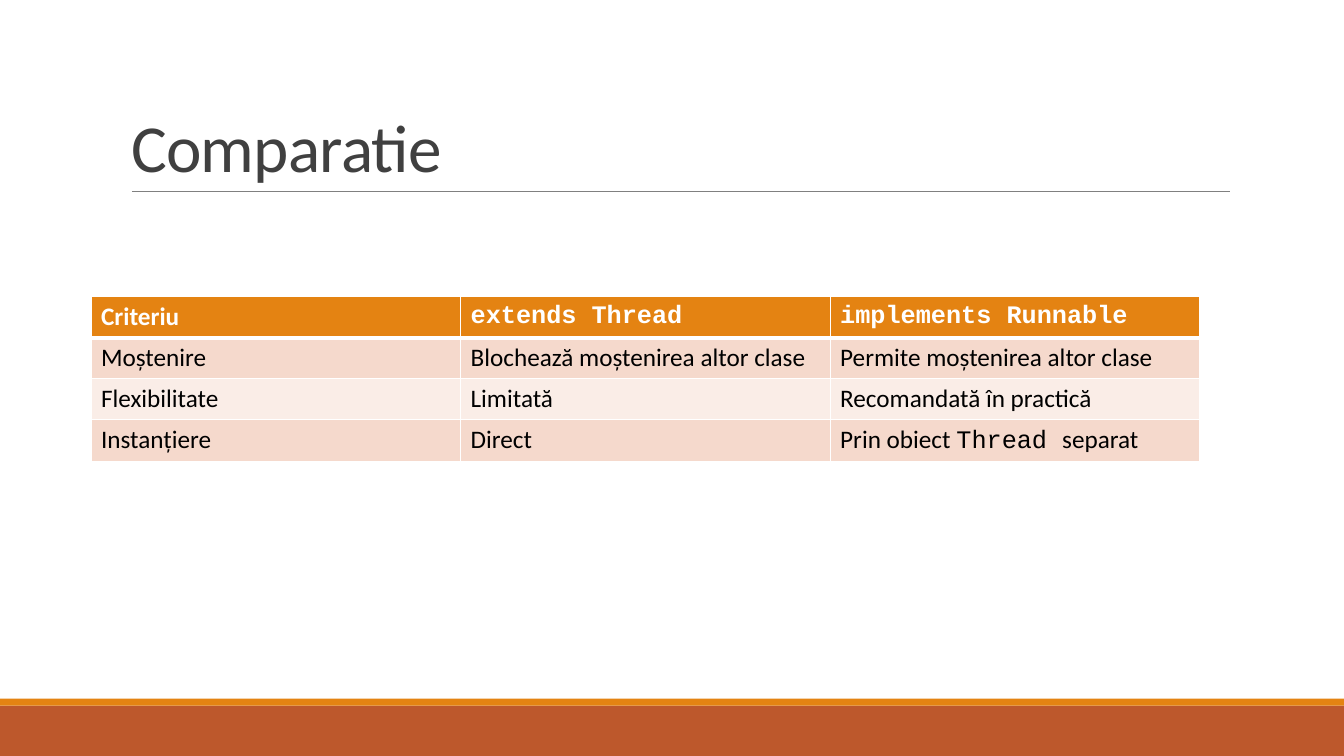
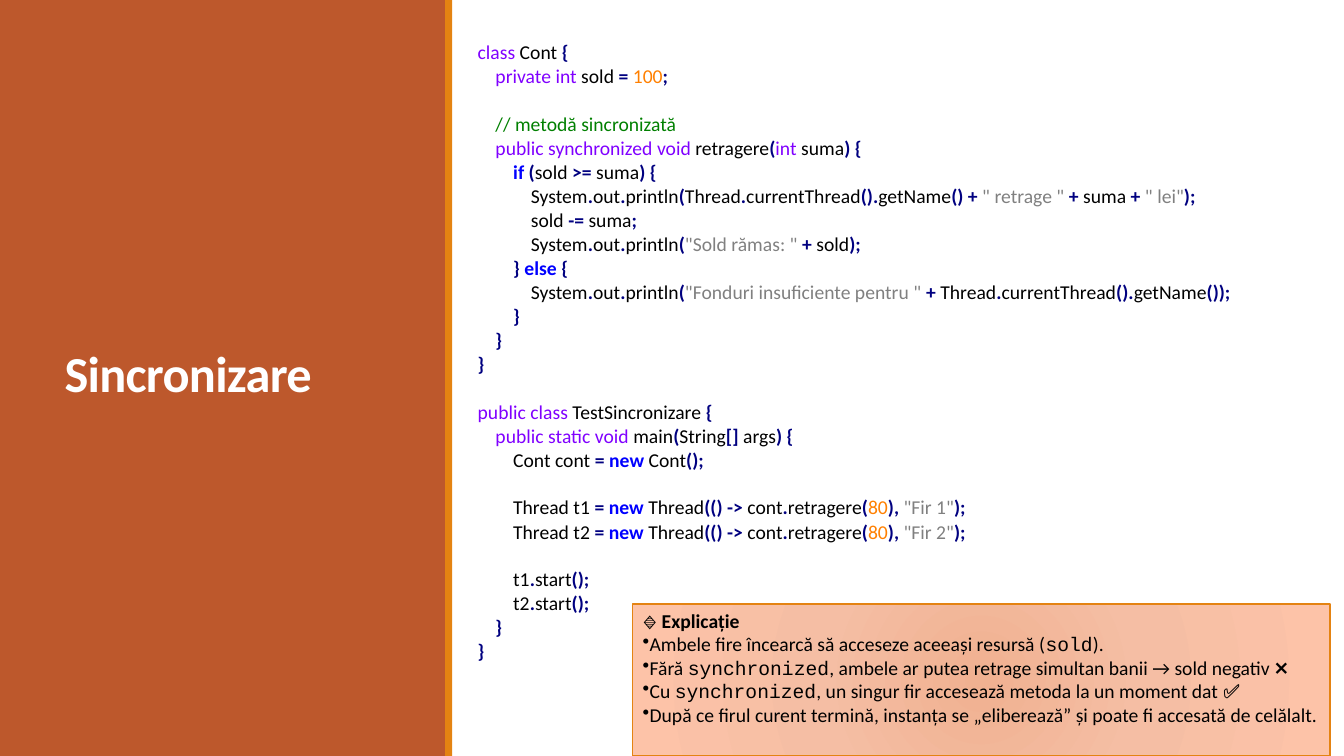
from itertools import groupby

from lxml import etree
from pptx import Presentation
from pptx.dml.color import RGBColor
from pptx.enum.shapes import MSO_CONNECTOR, MSO_SHAPE
from pptx.enum.text import MSO_ANCHOR, MSO_AUTO_SIZE, PP_ALIGN
from pptx.oxml import parse_xml
from pptx.oxml.ns import nsdecls, qn
from pptx.util import Pt

W, H = 960, 540
FONT, MONO = "Calibri", "Courier New"
COLORS = {
    "rust": "BD582C", "orange": "E48312", "white": "FFFFFF", "black": "000000",
    "title": "404040", "rule": "808080", "band_dark": "F5D9CC", "band_light": "FAEDE7",
    "type": "8000FF", "flow": "0000FF", "operator": "000080", "number": "FF8000",
    "string": "808080", "comment": "008000",
}
NOTE_STOPS = [(0, "F0B191"), (45, "F5BEA4"), (100, "FDC3A8")]

TYPE_WORDS = {"class", "private", "int", "public", "synchronized", "void", "static"}
FLOW_WORDS = {"if", "else", "new"}
BOLD_STYLES = {"flow", "operator"}

# Slide content
TABLE_ROWS = [
    ["Criteriu", "`extends Thread`", "`implements Runnable`"],
    ["Moștenire", "Blochează moștenirea altor clase", "Permite moștenirea altor clase"],
    ["Flexibilitate", "Limitată", "Recomandată în practică"],
    ["Instanțiere", "Direct", "Prin obiect `Thread `separat"],
]
CODE = '''class Cont {
    private int sold = 100;

    // metodă sincronizată
    public synchronized void retragere(int suma) {
        if (sold >= suma) {
            System.out.println(Thread.currentThread().getName() + " retrage " + suma + " lei");
            sold -= suma;
            System.out.println("Sold rămas: " + sold);
        } else {
            System.out.println("Fonduri insuficiente pentru " + Thread.currentThread().getName());
        }
    }
}

public class TestSincronizare {
    public static void main(String[] args) {
        Cont cont = new Cont();

        Thread t1 = new Thread(() -> cont.retragere(80), "Fir 1");
        Thread t2 = new Thread(() -> cont.retragere(80), "Fir 2");

        t1.start();
        t2.start();
    }
}'''
NOTE_TITLE = "🔹 Explicație"
NOTE_ITEMS = [
    "Ambele fire încearcă să acceseze aceeași resursă (`sold`).",
    "Fără `synchronized`, ambele ar putea retrage simultan banii → sold negativ ❌",
    "Cu `synchronized`, un singur fir accesează metoda la un moment dat ✅",
    "După ce firul curent termină, instanța se „eliberează” și poate fi accesată de celălalt.",
]


# Shared helpers
def rgb(name):
    return RGBColor.from_string(COLORS[name])


def place(sp, x, y, w, h):
    sp.left, sp.top, sp.width, sp.height = Pt(x), Pt(y), Pt(w), Pt(h)


def add_run(p, text, size, color, bold=False, font=FONT):
    r = p.add_run()
    r.text = text
    r.font.size, r.font.bold, r.font.name = Pt(size), bold, font
    r.font.color.rgb = rgb(color)
    return r


def add_mixed(p, text, size, color, bold=False):
    """Text between backticks is set in the code font."""
    for i, part in enumerate(text.split("`")):
        if part:
            add_run(p, part, size, color, bold, MONO if i % 2 else FONT)


def set_bullet(p, char=None, margin=0):
    pPr = p._p.get_or_add_pPr()
    pPr.set("marL", str(Pt(margin)))
    pPr.set("indent", "0")
    bullet = etree.SubElement(pPr, qn("a:buChar" if char else "a:buNone"))
    if char:
        bullet.set("char", char)


def add_box(s, x, y, w, h, color):
    sp = s.shapes.add_shape(MSO_SHAPE.RECTANGLE, Pt(x), Pt(y), Pt(w), Pt(h))
    sp.shadow.inherit = False
    sp.fill.solid()
    sp.fill.fore_color.rgb = rgb(color)
    sp.line.fill.background()
    return sp


def set_title(s, text, box, size, color, anchor, bold=False):
    sp = s.shapes.title
    s.shapes._spTree.append(sp._element)  # keep the title above the bands
    place(sp, *box)
    tf = sp.text_frame
    tf.auto_size, tf.vertical_anchor = MSO_AUTO_SIZE.NONE, anchor
    p = tf.paragraphs[0]
    p.alignment, p.line_spacing = PP_ALIGN.LEFT, 0.85
    r = add_run(p, text, size, color, bold)
    r._r.get_or_add_rPr().set("spc", "-50")


# Table slide
def add_footer_bands(s):
    add_box(s, 0, 504, W, H - 504, "rust")
    add_box(s, 0, 499, W, 5, "orange")


def add_title_rule(s, x, y, w):
    line = s.shapes.add_connector(MSO_CONNECTOR.STRAIGHT, Pt(x), Pt(y), Pt(x + w), Pt(y))
    line.line.color.rgb, line.line.width = rgb("rule"), Pt(0.5)
    etree.SubElement(line._element.spPr, qn("a:effectLst"))


def set_borders(cell, widths):
    tcPr = cell._tc.get_or_add_tcPr()
    for i, (side, width) in enumerate(zip("LRTB", widths)):
        tcPr.insert(i, parse_xml(
            f'<a:ln{side} {nsdecls("a")} w="{Pt(width)}"><a:solidFill>'
            f'<a:srgbClr val="{COLORS["white"]}"/></a:solidFill></a:ln{side}>'))


def add_comparison_table(s, x, y, w, h, rows):
    table = s.shapes.add_table(len(rows), len(rows[0]), Pt(x), Pt(y), Pt(w), Pt(h)).table
    table.horz_banding = False
    for col in table.columns:
        col.width = Pt(w / len(rows[0]))
    for i, row in enumerate(rows):
        table.rows[i].height = Pt(h / len(rows))
        header = i == 0
        fill = "orange" if header else ("band_light", "band_dark")[i % 2]
        for j, text in enumerate(row):
            cell = table.cell(i, j)
            cell.vertical_anchor = MSO_ANCHOR.MIDDLE
            cell.fill.solid()
            cell.fill.fore_color.rgb = rgb(fill)
            set_borders(cell, (1, 1, 3 if i == 1 else 1, 3 if header else 1))
            add_mixed(cell.text_frame.paragraphs[0], text, 18,
                      "white" if header else "black", header)


def build_comparison(prs):
    s = prs.slides.add_slide(prs.slide_layouts[5])
    add_footer_bands(s)
    add_title_rule(s, 94.3, 136.6, 784.5)
    set_title(s, "Comparatie", (86.4, 22.5, 792, 114.2), 48, "title", MSO_ANCHOR.BOTTOM)
    add_comparison_table(s, 65, 212, 792, 116.8, TABLE_ROWS)


# Code slide
def char_kind(c):
    if c == '"':
        return "quote"
    return "word" if c.isalnum() else "space" if c.isspace() else "operator"


def tokens(line):
    i = 0
    while i < len(line):
        if line.startswith("//", i):
            j = len(line)
        elif line[i] == '"':
            j = line.index('"', i + 1) + 1
        else:
            j = i + 1
            while j < len(line) and char_kind(line[j]) == char_kind(line[i]):
                j += 1
        yield line[i:j]
        i = j


def token_style(token):
    if token.startswith("//"):
        return "comment"
    if token in TYPE_WORDS:
        return "type"
    if token in FLOW_WORDS:
        return "flow"
    if token[0].isdigit():
        return "number"
    return {"quote": "string", "operator": "operator"}.get(char_kind(token[0]), "black")


def fill_code(sp, box, code, size=14, line_gap=17.1):
    place(sp, *box)
    tf = sp.text_frame
    tf.auto_size, tf.vertical_anchor = MSO_AUTO_SIZE.NONE, MSO_ANCHOR.MIDDLE
    tf.margin_left = tf.margin_right = 0
    first, gap = True, 0
    for line in code.split("\n"):
        if not line:  # an empty code line becomes space above the next one
            gap = line_gap
            continue
        p = tf.paragraphs[0] if first else tf.add_paragraph()
        set_bullet(p, margin=7.2)
        p.line_spacing, p.space_before, p.space_after = 0.9, Pt(gap), Pt(2)
        for style, group in groupby(tokens(line), key=token_style):
            add_run(p, "".join(group), size, style, style in BOLD_STYLES)
        first, gap = False, 0


def add_note(s, x, y, w, h, title, items):
    sp = add_box(s, x, y, w, h, "white")
    stops = "".join(f'<a:gs pos="{pos * 1000}"><a:srgbClr val="{color}"/></a:gs>'
                    for pos, color in NOTE_STOPS)
    spPr = sp._element.spPr
    spPr.replace(spPr.find(qn("a:solidFill")), parse_xml(
        f'<a:gradFill {nsdecls("a")}><a:gsLst>{stops}</a:gsLst><a:path path="circle">'
        '<a:fillToRect l="100000" t="100000" r="100000" b="100000"/></a:path></a:gradFill>'))
    sp.line.color.rgb, sp.line.width = rgb("orange"), Pt(1)
    tf = sp.text_frame
    tf.word_wrap, tf.vertical_anchor = True, MSO_ANCHOR.TOP
    for i, text in enumerate([title, *items]):
        p = tf.add_paragraph() if i else tf.paragraphs[0]
        p.alignment = PP_ALIGN.LEFT
        set_bullet(p, "•" if i else None)
        add_mixed(p, text, 14, "black", bold=i == 0)


def build_synchronization(prs):
    s = prs.slides.add_slide(prs.slide_layouts[1])
    add_box(s, 0, 0, 319, H, "rust")
    add_box(s, 318, 0, 5, H, "orange")
    set_title(s, "Sincronizare", (38.9, 47.5, 242.6, 444.2), 36, "white",
              MSO_ANCHOR.MIDDLE, bold=True)
    fill_code(s.placeholders[1], (334, 14.4, 565.2, 475), CODE)
    add_note(s, 452, 431.3, 498, 108.7, NOTE_TITLE, NOTE_ITEMS)


def main():
    prs = Presentation()
    prs.slide_width, prs.slide_height = Pt(W), Pt(H)
    build_comparison(prs)
    build_synchronization(prs)
    prs.save("out.pptx")


if __name__ == "__main__":
    main()
